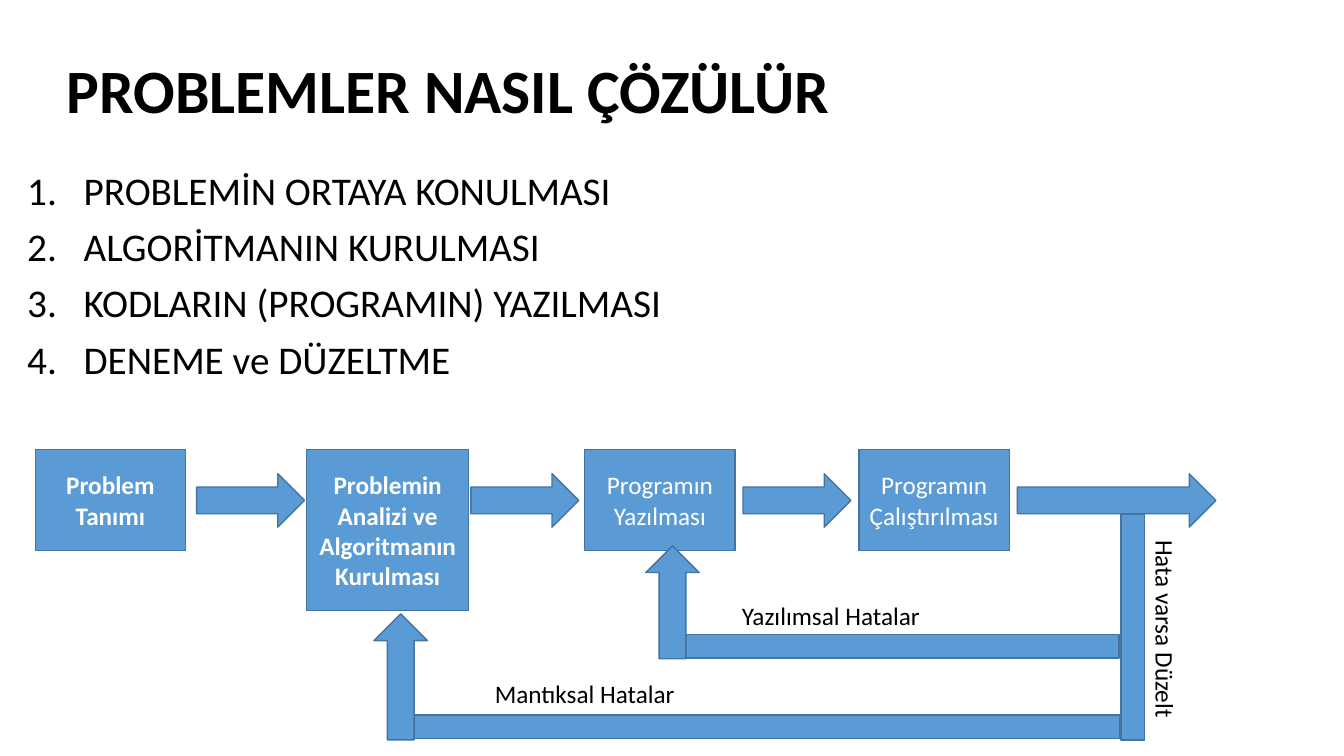
import dataclasses

import lxml.etree
import pptx
import pptx.dml.color
import pptx.enum.shapes
import pptx.enum.text
import pptx.oxml.ns
import pptx.util

Inches = pptx.util.Inches
Pt = pptx.util.Pt
RGB = pptx.dml.color.RGBColor
SHAPE = pptx.enum.shapes.MSO_SHAPE
ALIGN = pptx.enum.text.PP_ALIGN
ANCHOR = pptx.enum.text.MSO_ANCHOR
AUTO = pptx.enum.text.MSO_AUTO_SIZE


@dataclasses.dataclass(frozen=True)
class Theme:
    font: str = "Calibri"
    ink: RGB = RGB(0, 0, 0)
    paper: RGB = RGB(255, 255, 255)
    fill: RGB = RGB(0x5B, 0x9B, 0xD5)
    edge: RGB = RGB(0x43, 0x73, 0x9E)
    title: int = 44
    body: int = 28
    label: int = 18


THEME = Theme()
ROW_TOP = 4.46
ARROW_TOP = 4.7
ARROW_H = 0.53
STEPS = [
    "PROBLEMİN ORTAYA KONULMASI",
    "ALGORİTMANIN KURULMASI",
    "KODLARIN (PROGRAMIN) YAZILMASI",
    "DENEME ve DÜZELTME",
]
STAGES = [
    ("Problem Tanımı", 0.35, 1.49, 1, True),
    ("Problemin Analizi ve Algoritmanın Kurulması", 3.04, 1.61, 1.6, True),
    ("Programın Yazılması", 5.8, 1.49, 1, False),
    ("Programın Çalıştırılması", 8.52, 1.49, 1, False),
]
FORWARD_ARROWS = [(1.95, 1.07), (4.67, 1.07), (7.37, 1.07), (10.09, 1.97)]
BARS = [(5.99, 5.91, 5.89, 0), (9.71, 5.72, 3.05, 90), (2.79, 6.71, 9.59, 0)]
RETURN_ARROWS = [(6.11, 5.71, 1.12), (3.35, 6.45, 1.25)]
LABELS = [
    ("Hata varsa Düzelt", 10.57, 6.05, 1.98, 90),
    ("Yazılımsal Hatalar", 7.26, 5.91, 1.98, 0),
    ("Mantıksal Hatalar", 4.81, 6.68, 2, 0),
]


def add_run(p, text, size, color, bold=False):
    r = p.add_run()
    r.text = text
    r.font.name = THEME.font
    r.font.size = Pt(size)
    r.font.bold = bold
    r.font.color.rgb = color


def place(sp, x, y, w, h):
    sp.left, sp.top, sp.width, sp.height = map(Inches, (x, y, w, h))


def set_title(s, text):
    sp = s.shapes.title
    place(sp, 0.56, 0.2, 11.5, 1.45)
    tf = sp.text_frame
    tf.vertical_anchor = ANCHOR.MIDDLE
    tf.auto_size = AUTO.NONE
    p = tf.paragraphs[0]
    p.alignment = ALIGN.LEFT
    p.line_spacing = 0.9
    add_run(p, text, THEME.title, THEME.ink, True)


def number(p, indent):
    pPr = p._p.get_or_add_pPr()
    pPr.set("marL", str(indent))
    pPr.set("indent", str(-indent))
    bullet = lxml.etree.SubElement(pPr, pptx.oxml.ns.qn("a:buAutoNum"))
    bullet.set("type", "arabicPeriod")


def set_list(s, items):
    sp = s.placeholders[1]
    place(sp, 0.17, 1.65, 12.24, 5.64)
    tf = sp.text_frame
    tf.auto_size = AUTO.NONE
    for i, item in enumerate(items):
        p = tf.add_paragraph() if i else tf.paragraphs[0]
        p.line_spacing = 0.9
        p.space_before = Pt(10)
        number(p, Inches(0.56))
        add_run(p, item, THEME.body, THEME.ink)


def add_block(s, kind, x, y, w, h, rotation=0):
    sp = s.shapes.add_shape(kind, *map(Inches, (x, y, w, h)))
    sp.rotation = rotation
    sp.shadow.inherit = False
    sp.fill.solid()
    sp.fill.fore_color.rgb = THEME.fill
    sp.line.color.rgb = THEME.edge
    sp.line.width = Pt(1)
    return sp


def add_stage(s, text, x, w, h, bold):
    sp = add_block(s, SHAPE.RECTANGLE, x, ROW_TOP, w, h)
    tf = sp.text_frame
    tf.word_wrap = True
    tf.vertical_anchor = ANCHOR.MIDDLE
    p = tf.paragraphs[0]
    p.alignment = ALIGN.CENTER
    add_run(p, text, THEME.label, THEME.paper, bold)


def add_label(s, text, x, y, w, rotation):
    sp = s.shapes.add_textbox(*map(Inches, (x, y, w, 0.4)))
    sp.rotation = rotation
    tf = sp.text_frame
    tf.word_wrap = False
    tf.auto_size = AUTO.SHAPE_TO_FIT_TEXT
    add_run(tf.paragraphs[0], text, THEME.label, THEME.ink)


def main():
    prs = pptx.Presentation()
    prs.slide_width = Inches(13.33)
    prs.slide_height = Inches(7.5)
    s = prs.slides.add_slide(prs.slide_layouts[1])
    set_title(s, "PROBLEMLER NASIL ÇÖZÜLÜR")
    set_list(s, STEPS)
    for stage in STAGES:
        add_stage(s, *stage)
    for x, w in FORWARD_ARROWS:
        add_block(s, SHAPE.RIGHT_ARROW, x, ARROW_TOP, w, ARROW_H)
    for x, y, w, rotation in BARS:
        add_block(s, SHAPE.MATH_MINUS, x, y, w, 1, rotation)
    for x, y, w in RETURN_ARROWS:
        add_block(s, SHAPE.RIGHT_ARROW, x, y, w, ARROW_H, 270)
    for label in LABELS:
        add_label(s, *label)
    prs.save("out.pptx")


main()
